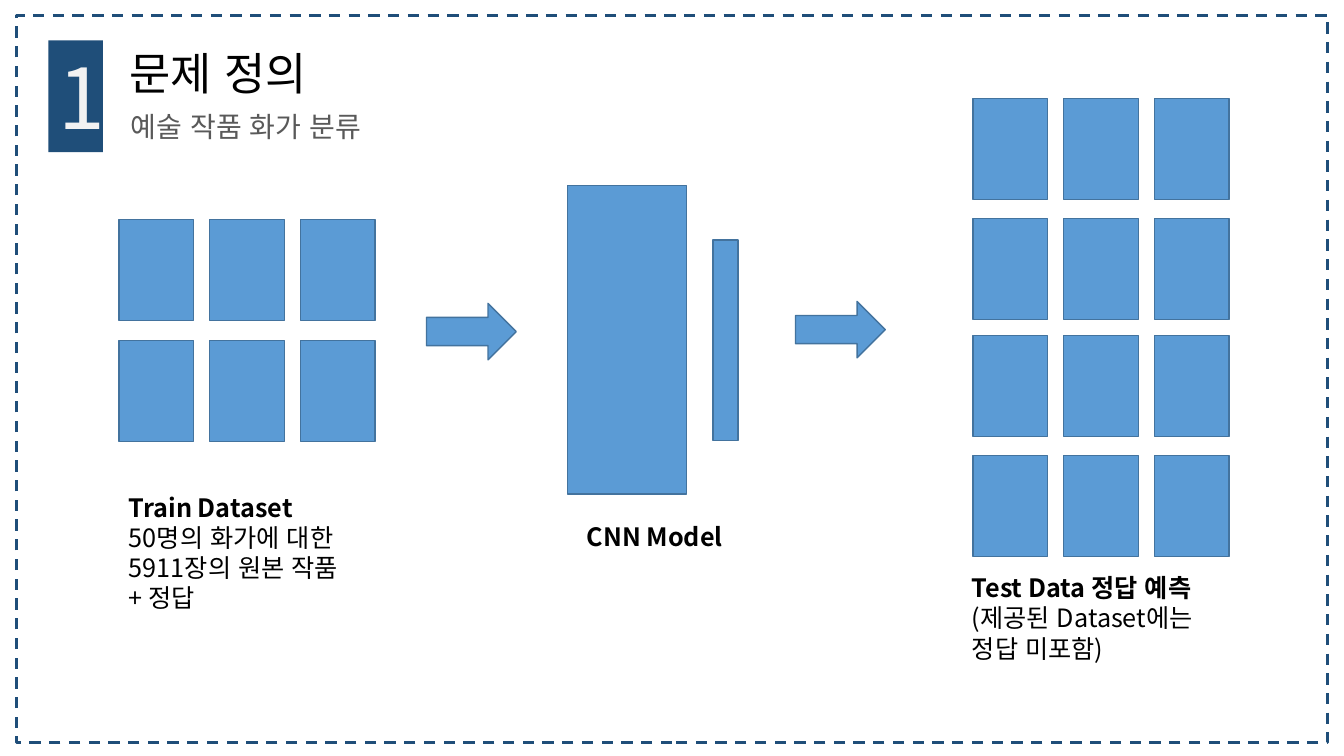
from pptx import Presentation
from pptx.dml.color import RGBColor
from pptx.enum import dml, lang, shapes, text
from pptx.oxml import ns
from pptx.util import Inches, Pt
from lxml import etree

NAVY = RGBColor(0x1F, 0x4E, 0x79)
BLUE = RGBColor(0x5B, 0x9B, 0xD5)
EDGE = RGBColor(0x43, 0x73, 0x9E)
PALE = RGBColor(0xF2, 0xF2, 0xF2)
GRAY = RGBColor(0x59, 0x59, 0x59)
BLACK = RGBColor(0, 0, 0)
FONT = "Noto Sans CJK KR"

TITLE = "문제 정의"
SUBTITLE = "예술 작품 화가 분류"
CAPTIONS = [
    ((1.18, 4.83, 2.46, 1.31), ["Train Dataset", "50명의 화가에 대한 5911장의 원본 작품\v+ 정답"]),
    ((9.54, 5.63, 2.91, 1.01), ["Test Data 정답 예측", "(제공된 Dataset에는 정답 미포함)"]),
    ((5.72, 5.12, 1.62, 0.4), ["CNN Model"]),
]
GRIDS = [(1.18, [2.18, 3.38]), (9.65, [0.98, 2.17, 3.33, 4.52])]
COLUMNS, COLUMN_STEP, TILE_SIZE = 3, 0.9, (0.74, 1)
MODEL_LAYERS = [(5.63, 1.84, 1.18, 3.06), (7.07, 2.38, 0.25, 1.99)]
ARROWS = [(4.23, 3.01, 0.89, 0.56), (7.89, 2.99, 0.89, 0.56)]


def write(box, lines, size, color=BLACK, bold_first=False, wrap=True):
    """Fill a box with left-aligned paragraphs in one format."""
    frame = box.text_frame
    frame.auto_size = text.MSO_AUTO_SIZE.NONE
    frame.word_wrap = wrap
    frame.vertical_anchor = text.MSO_ANCHOR.TOP
    for index, line in enumerate(lines):
        para = frame.add_paragraph() if index else frame.paragraphs[0]
        para.text = line
        para.alignment = text.PP_ALIGN.LEFT
        para.line_spacing = Pt(size * 1.2)
        for span in para.runs:
            span.font.size = Pt(size)
            span.font.bold = bold_first and index == 0
            span.font.color.rgb = color
            span.font.name = FONT
            span.font.language_id = lang.MSO_LANGUAGE_ID.KOREAN
            east_asian = etree.Element(ns.qn("a:ea"), typeface=FONT)
            span.font._element.find(ns.qn("a:latin")).addnext(east_asian)


def place(box, area):
    """Move and size a box in inches."""
    box.left, box.top, box.width, box.height = map(Inches, area)


def add_shape(page, area, kind=shapes.MSO_SHAPE.RECTANGLE, fill=BLUE, line=EDGE, weight=1):
    """Add a flat shape with optional fill and outline."""
    shape = page.shapes.add_shape(kind, *map(Inches, area))
    shape.shadow.inherit = False
    if fill is None:
        shape.fill.background()
    else:
        shape.fill.solid()
        shape.fill.fore_color.rgb = fill
    if line is None:
        shape.line.fill.background()
    else:
        shape.line.color.rgb = line
        shape.line.width = Pt(weight)
    return shape


def main():
    """Build the problem definition slide."""
    deck = Presentation()
    deck.slide_width, deck.slide_height = Inches(13.33), Inches(7.5)
    page = deck.slides.add_slide(deck.slide_layouts[5])

    number = add_shape(page, (0.48, 0.4, 0.54, 1.11), fill=NAVY, line=None)
    write(number, ["1"], 60, color=PALE, wrap=False)
    number.text_frame.margin_right = 0
    subtitle = page.shapes.add_textbox(*map(Inches, (1.2, 1.04, 2.74, 0.44)))
    write(subtitle, [SUBTITLE], 20, color=GRAY, wrap=False)
    place(page.shapes.title, (1.18, 0.4, 2.15, 0.64))
    write(page.shapes.title, [TITLE], 32, wrap=False)

    border = add_shape(page, (0.16, 0.15, 13.01, 7.22), fill=None, line=NAVY, weight=2)
    border.line.dash_style = dml.MSO_LINE.DASH

    for left, tops in GRIDS:
        for top in tops:
            for column in range(COLUMNS):
                add_shape(page, (left + column * COLUMN_STEP, top, *TILE_SIZE))
    for area in MODEL_LAYERS:
        add_shape(page, area)
    for area in ARROWS:
        add_shape(page, area, kind=shapes.MSO_SHAPE.RIGHT_ARROW)
    for area, lines in CAPTIONS:
        caption = page.shapes.add_textbox(*map(Inches, area))
        write(caption, lines, 18, bold_first=True)

    deck.save("out.pptx")


if __name__ == "__main__":
    main()
